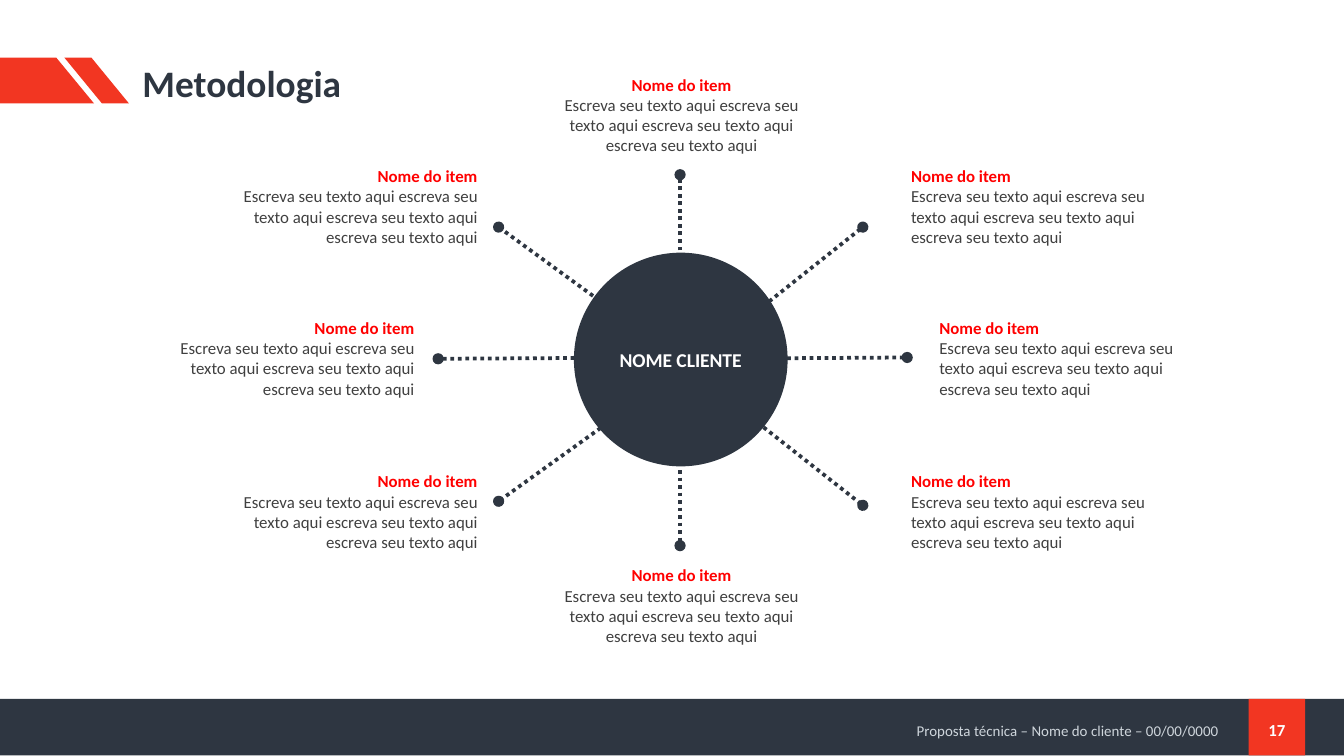
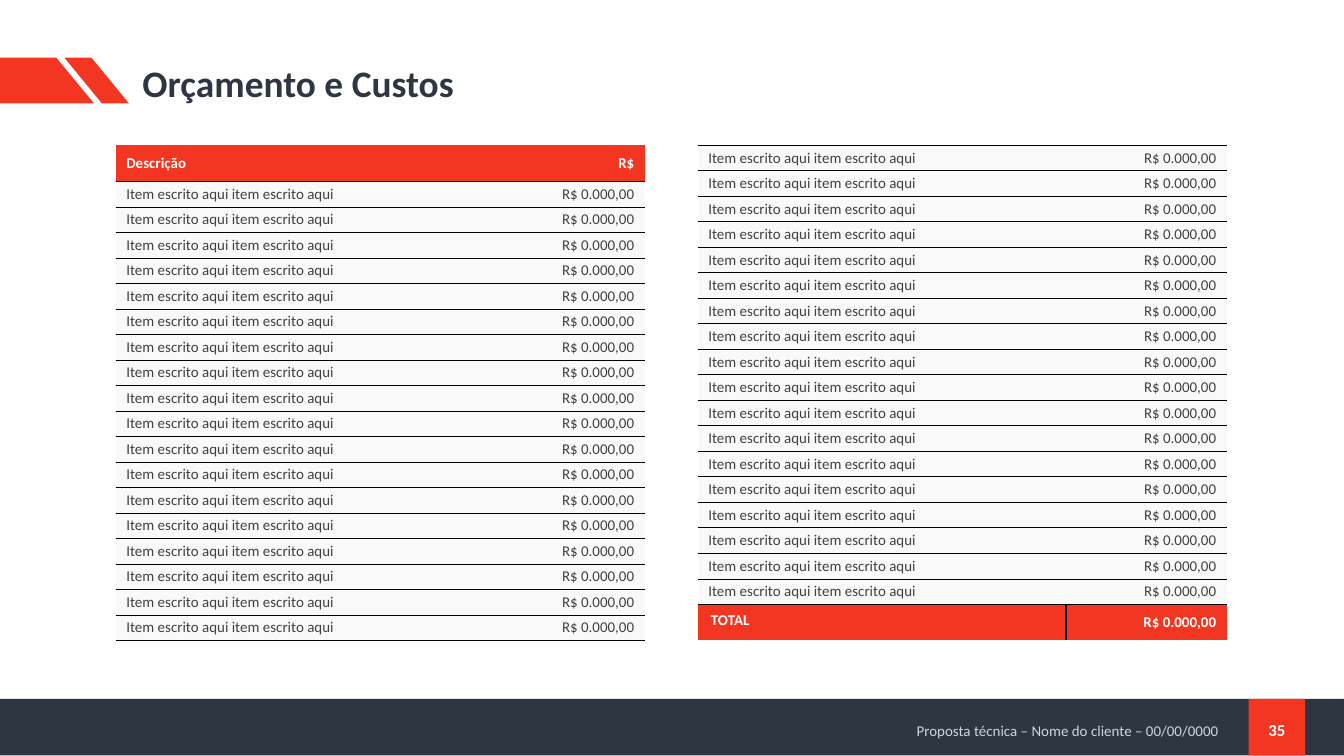
from dataclasses import dataclass

from lxml.etree import SubElement
from pptx import Presentation
from pptx.dml.color import RGBColor
from pptx.enum.dml import MSO_LINE
from pptx.enum.shapes import MSO_CONNECTOR, MSO_SHAPE
from pptx.enum.text import MSO_ANCHOR, MSO_AUTO_SIZE, PP_ALIGN
from pptx.oxml.ns import qn
from pptx.util import Inches, Pt

FONT = "Calibri"
COLORS = {
    "dark": "2E3641",
    "accent": "F23622",
    "heading": "FF0000",
    "body": "404040",
    "footer": "CFD6DC",
    "row": "F9F9F9",
    "white": "FFFFFF",
    "border": "000000",
}
FOOTER = "Proposta técnica – Nome do cliente – 00/00/0000"
BAND_TOP, BAND_HEIGHT = 5.2, 0.42
PAGE_LEFT = 9.29

ITEM_NAME = "Nome do item"
ITEM_TEXT = "Escreva seu texto aqui" + " escreva seu texto aqui" * 3
ITEM_WIDTH, ITEM_HEIGHT = 2.12, 0.71

COST_ROW = ("Item escrito aqui item escrito aqui", "R$ 0.000,00")
COST_ROW_COUNT = 18
COST_COLUMNS = (2.74, 1.2)
COST_TOP, COST_ROW_HEIGHT, COST_BAND_HEIGHT = 1.08, 0.19, 0.27
NO_TABLE_STYLE = "{2D5ABB26-0587-4C30-8999-92F81FD0307C}"


@dataclass(frozen=True)
class Item:
    """A text block and the spoke that leads to it."""
    left: float
    top: float
    align: PP_ALIGN
    start: tuple[float, float]
    end: tuple[float, float]


@dataclass(frozen=True)
class CostRow:
    texts: tuple[str, str]
    height: float = COST_ROW_HEIGHT
    fill: str = "row"
    color: str = "body"
    bold: bool = False
    edges: tuple[str, ...] = ("lnT", "lnB")


ITEMS = (
    Item(4.01, 0.5, PP_ALIGN.CENTER, (5.06, 2.03), (5.06, 1.3)),
    Item(6.68, 1.18, PP_ALIGN.LEFT, (5.11, 2.73), (6.42, 1.69)),
    Item(6.89, 2.31, PP_ALIGN.LEFT, (5.13, 2.67), (6.75, 2.66)),
    Item(6.68, 3.45, PP_ALIGN.LEFT, (5.11, 2.73), (6.42, 3.76)),
    Item(4.01, 4.15, PP_ALIGN.CENTER, (5.06, 3.33), (5.06, 4.06)),
    Item(1.53, 3.45, PP_ALIGN.RIGHT, (5.06, 2.76), (3.71, 3.73)),
    Item(1.06, 2.31, PP_ALIGN.RIGHT, (5, 2.66), (3.26, 2.67)),
    Item(1.53, 1.18, PP_ALIGN.RIGHT, (5, 2.63), (3.71, 1.69)),
)
HEADER_ROW = CostRow(("Descrição", "R$"), COST_BAND_HEIGHT, "accent", "white", True, ("lnB",))
TOTAL_ROW = CostRow(("TOTAL", COST_ROW[1]), COST_BAND_HEIGHT, "accent", "white", True, ("lnT",))


# Shared helpers
def rgb(name: str) -> RGBColor:
    return RGBColor.from_string(COLORS[name])


def format_paragraph(paragraph, size: float, color: str, bold: bool = False,
                     align: PP_ALIGN = PP_ALIGN.LEFT) -> None:
    paragraph.alignment = align
    paragraph.font.name = FONT
    paragraph.font.size = Pt(size)
    paragraph.font.bold = bold
    paragraph.font.color.rgb = rgb(color)


def paint(shape, color: str) -> None:
    shape.shadow.inherit = False
    shape.fill.solid()
    shape.fill.fore_color.rgb = rgb(color)
    shape.line.fill.background()


def add_filled(slide, kind: MSO_SHAPE, left: float, top: float, width: float,
               height: float, color: str):
    shape = slide.shapes.add_shape(
        kind, Inches(left), Inches(top), Inches(width), Inches(height))
    paint(shape, color)
    return shape


def add_text_frame(slide, left: float, top: float, width: float, height: float):
    box = slide.shapes.add_textbox(
        Inches(left), Inches(top), Inches(width), Inches(height))
    frame = box.text_frame
    frame.word_wrap = True
    frame.vertical_anchor = MSO_ANCHOR.MIDDLE
    return frame


# Title, red flag, bottom band, footer and page number
def add_base_slide(presentation, title_text: str, page: int):
    slide = presentation.slides.add_slide(presentation.slide_layouts[5])

    add_filled(slide, MSO_SHAPE.RECTANGLE, 0, BAND_TOP, 10, BAND_HEIGHT, "dark")
    add_filled(slide, MSO_SHAPE.RECTANGLE, PAGE_LEFT, BAND_TOP, BAND_HEIGHT, BAND_HEIGHT, "accent")

    builder = slide.shapes.build_freeform(Inches(0), Inches(0.43))
    builder.add_line_segments(
        [(Inches(x), Inches(y)) for x, y in ((0.42, 0.43), (0.7, 0.77), (0, 0.77))])
    paint(builder.convert_to_shape(), "accent")
    stripe = add_filled(slide, MSO_SHAPE.PARALLELOGRAM, 0.48, 0.43, 0.48, 0.34, "accent")
    stripe.adjustments[0] = 0.82
    stripe.element.spPr.find(qn("a:xfrm")).set("flipH", "1")

    title = slide.shapes.title
    title.left, title.top = Inches(0.96), Inches(0.43)
    title.width, title.height = Inches(8.75), Inches(0.41)
    title.text_frame.text = title_text
    title.text_frame.vertical_anchor = MSO_ANCHOR.MIDDLE
    title.text_frame.auto_size = MSO_AUTO_SIZE.SHAPE_TO_FIT_TEXT
    paragraph = title.text_frame.paragraphs[0]
    paragraph.line_spacing = 0.9
    format_paragraph(paragraph, 20, "dark", bold=True)

    footer = add_text_frame(slide, 5.59, 5.34, 3.63, 0.21)
    footer.margin_right = Inches(0.15)
    footer.text = FOOTER
    footer.paragraphs[0].line_spacing = 0.9
    format_paragraph(footer.paragraphs[0], 8, "footer", align=PP_ALIGN.RIGHT)

    number = add_text_frame(slide, PAGE_LEFT, 5.28, BAND_HEIGHT, 0.3)
    number.text = str(page)
    format_paragraph(number.paragraphs[0], 9, "white", True, PP_ALIGN.CENTER)
    return slide


# Methodology wheel
def add_spoke(slide, item: Item) -> None:
    connector = slide.shapes.add_connector(
        MSO_CONNECTOR.STRAIGHT, *(Inches(value) for value in item.start + item.end))
    connector.line.color.rgb = rgb("dark")
    connector.line.width = Pt(2)
    connector.line.dash_style = MSO_LINE.ROUND_DOT
    properties = connector.element.spPr
    SubElement(properties.find(qn("a:ln")), qn("a:tailEnd"), type="oval")
    SubElement(properties, qn("a:effectLst"))


def add_item_text(slide, item: Item) -> None:
    frame = add_text_frame(slide, item.left, item.top, ITEM_WIDTH, ITEM_HEIGHT)
    frame.auto_size = MSO_AUTO_SIZE.SHAPE_TO_FIT_TEXT
    frame.text = f"{ITEM_NAME}\n{ITEM_TEXT}"
    heading, body = frame.paragraphs
    format_paragraph(heading, 9, "heading", True, item.align)
    format_paragraph(body, 9, "body", align=item.align)


def add_methodology_slide(presentation) -> None:
    slide = add_base_slide(presentation, "Metodologia", 17)
    for item in ITEMS:
        add_spoke(slide, item)
        add_item_text(slide, item)

    hub = add_filled(slide, MSO_SHAPE.OVAL, 4.27, 1.88, 1.59, 1.59, "dark")
    frame = hub.text_frame
    frame.margin_left = frame.margin_right = Inches(0.06)
    frame.margin_top = frame.margin_bottom = Inches(0.03)
    frame.vertical_anchor = MSO_ANCHOR.MIDDLE
    frame.text = "NOME CLIENTE"
    format_paragraph(frame.paragraphs[0], 10.5, "white", True, PP_ALIGN.CENTER)


# Cost tables
def add_cell_border(cell, edge: str, width: float) -> None:
    properties = cell._tc.get_or_add_tcPr()
    line = SubElement(properties, qn(f"a:{edge}"), w=str(Pt(width)))
    fill = SubElement(line, qn("a:solidFill"))
    SubElement(fill, qn("a:srgbClr"), val=COLORS["border"])


def format_cost_cell(cell, row: CostRow, text: str, align: PP_ALIGN) -> None:
    for edge in row.edges:
        add_cell_border(cell, edge, 0.25)
    cell.fill.solid()
    cell.fill.fore_color.rgb = rgb(row.fill)
    cell.margin_left = cell.margin_right = Inches(0.08)
    cell.margin_top = cell.margin_bottom = 0
    cell.vertical_anchor = MSO_ANCHOR.MIDDLE
    cell.text = text
    format_paragraph(cell.text_frame.paragraphs[0], 8, row.color, row.bold, align)


def add_cost_table(slide, left: float, rows: list[CostRow]):
    frame = slide.shapes.add_table(
        len(rows), len(COST_COLUMNS), Inches(left), Inches(COST_TOP),
        Inches(sum(COST_COLUMNS)), Inches(sum(row.height for row in rows)))
    table = frame.table
    table.first_row = table.horz_banding = False
    table._tbl.tblPr.find(qn("a:tableStyleId")).text = NO_TABLE_STYLE
    for column, width in zip(table.columns, COST_COLUMNS):
        column.width = Inches(width)
    for row_index, row in enumerate(rows):
        table.rows[row_index].height = Inches(row.height)
        for column_index, align in enumerate((PP_ALIGN.LEFT, PP_ALIGN.RIGHT)):
            format_cost_cell(table.cell(row_index, column_index), row,
                             row.texts[column_index], align)
    return table


def add_costs_slide(presentation) -> None:
    slide = add_base_slide(presentation, "Orçamento e Custos", 35)
    cost_rows = [CostRow(COST_ROW)] * COST_ROW_COUNT
    add_cost_table(slide, 0.86, [HEADER_ROW] + cost_rows)
    table = add_cost_table(slide, 5.19, cost_rows + [TOTAL_ROW])

    # The total label sits at the top of its cell, beside a divider
    label = table.cell(COST_ROW_COUNT, 0)
    label.vertical_anchor = MSO_ANCHOR.TOP
    label.margin_left = Inches(0.1)
    label.margin_top = Inches(0.05)
    amount = table.cell(COST_ROW_COUNT, 1)
    add_cell_border(amount, "lnL", 1)
    properties = amount._tc.tcPr
    properties.insert(0, properties[-1])


def main() -> None:
    presentation = Presentation()
    presentation.slide_width = Inches(10)
    presentation.slide_height = Inches(10 * 9 / 16)
    add_methodology_slide(presentation)
    add_costs_slide(presentation)
    presentation.save("out.pptx")


if __name__ == "__main__":
    main()
